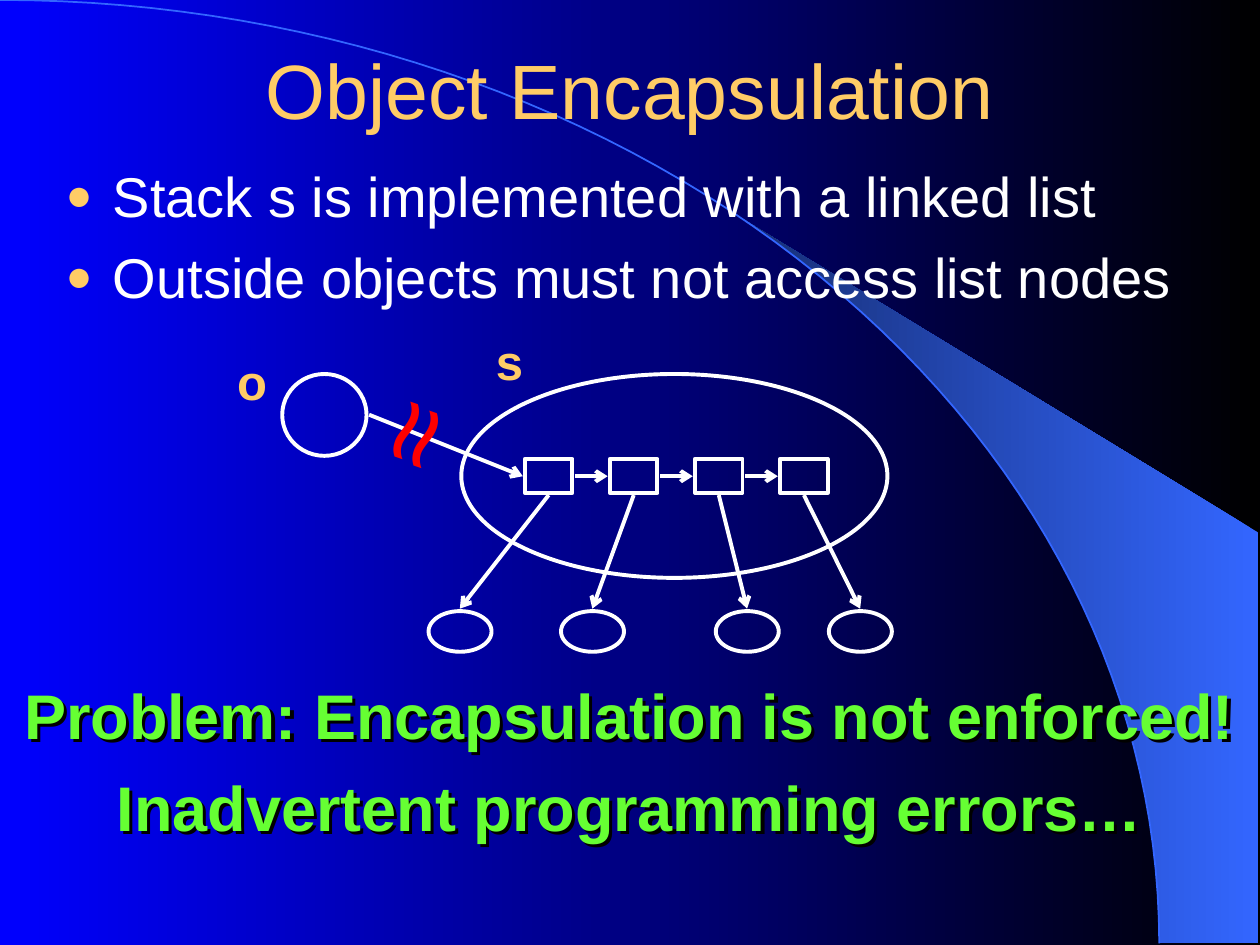
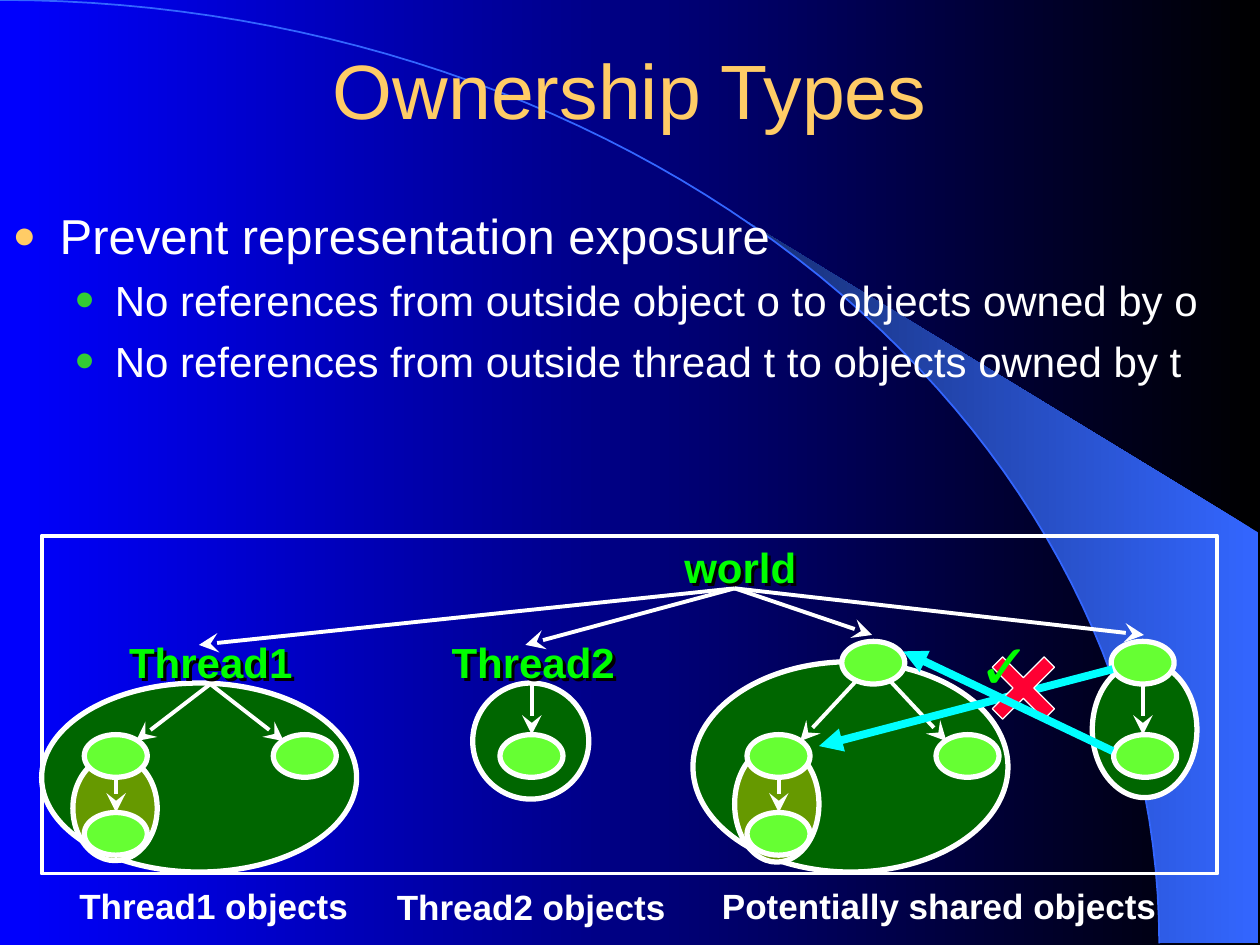
import math

import lxml.etree
import pptx
import pptx.dml.color
import pptx.enum.shapes
import pptx.enum.text
import pptx.oxml.ns
import pptx.util

Cm = pptx.util.Cm
Pt = pptx.util.Pt
RGB = pptx.dml.color.RGBColor
SHAPE = pptx.enum.shapes.MSO_SHAPE
ALIGN = pptx.enum.text.PP_ALIGN
FIT = pptx.enum.text.MSO_AUTO_SIZE
ANCHOR = pptx.enum.text.MSO_ANCHOR
qn = pptx.oxml.ns.qn

FONT = "Arial"
WHITE = RGB(0xFF, 0xFF, 0xFF)
BLACK = RGB(0x00, 0x00, 0x00)
BLUE = RGB(0x00, 0x00, 0xFF)
SWOOSH = RGB(0x33, 0x66, 0xFF)
SWOOSH_DARK = RGB(0x17, 0x2F, 0x75)
GOLD = RGB(0xFF, 0xCC, 0x66)
LIME = RGB(0x66, 0xFF, 0x33)
GREEN = RGB(0x00, 0xFF, 0x00)
BULLET_GREEN = RGB(0x33, 0xCC, 0x33)
DARK_GREEN = RGB(0x00, 0x66, 0x00)
OLIVE = RGB(0x66, 0x99, 0x00)
RED = RGB(0xFF, 0x00, 0x00)
CROSS_RED = RGB(0xFF, 0x00, 0x33)
CYAN = RGB(0x00, 0xFF, 0xFF)

# level: left margin cm, indent cm, bullet, bullet colour, bullet size %
BULLETS = [(0.95, -0.95, "●", GOLD, 80), (2.06, -0.79, "•", BULLET_GREEN, 130)]


def sub(parent, tag, **attrs):
    return lxml.etree.SubElement(parent, qn(tag), attrs)


def write(p, text, size=24, color=WHITE, bold=False, align=None,
          before=0, spacing=None):
    p.alignment = align
    p.space_before = Pt(before)
    p.line_spacing = spacing
    r = p.add_run()
    r.text = text
    r.font.size = Pt(size)
    r.font.bold = bold
    r.font.color.rgb = color
    r.font.name = FONT


def set_bullet(p, level):
    left, indent, char, color, percent = BULLETS[level]
    p.level = level
    ppr = p._p.get_or_add_pPr()
    ppr.set("marL", str(Cm(left)))
    ppr.set("indent", str(Cm(indent)))
    sub(sub(ppr, "a:buClr"), "a:srgbClr", val=str(color))
    sub(ppr, "a:buSzPct", val=str(percent * 1000))
    sub(ppr, "a:buFont", typeface=FONT)
    sub(ppr, "a:buChar", char=char)


def cast_shadow(sp):
    """Give an unfilled text box a shadow, which its letters cast."""
    outer = sub(sub(sp._element.spPr, "a:effectLst"), "a:outerShdw",
                dist=str(Pt(2.5)), dir="2700000", algn="ctr", rotWithShape="0")
    sub(outer, "a:srgbClr", val=str(BLACK))


def set_gradient(fill, start, end):
    """Run from start at the right to end at the left."""
    fill.gradient()
    fill.gradient_angle = 180
    for stop, color in zip(fill.gradient_stops, (start, end)):
        stop.color.rgb = color


def place(sp, x, y, w, h):
    sp.left, sp.top, sp.width, sp.height = Cm(x), Cm(y), Cm(w), Cm(h)


class Deck:
    def __init__(self):
        self.prs = pptx.Presentation()
        self.prs.slide_width, self.prs.slide_height = Cm(25.4), Cm(19.05)
        set_gradient(self.prs.slide_master.background.fill, BLACK, BLUE)
        self.s = None

    def slide(self, title):
        first = self.s is None
        self.s = self.prs.slides.add_slide(self.prs.slide_layouts[1])
        if first:
            self.decorate_master()
        sp = self.s.shapes.title
        place(sp, 0, 0.2, 25.4, 3.18)
        tf = sp.text_frame
        tf.auto_size = FIT.NONE
        tf.vertical_anchor = ANCHOR.MIDDLE
        write(tf.paragraphs[0], title, size=44, color=GOLD, align=ALIGN.CENTER)

    def decorate_master(self):
        """Put the quarter ellipse and the band outside it on the master."""
        def arc(start):
            angles = [start + (math.pi / 2 - start) * i / 60 for i in range(61)]
            return [(23.37 * math.sin(a), 19.02 * (1 - math.cos(a)))
                    for a in angles]

        band = self.freeform(arc(math.asin(0.64)) + [(25.37, 19.02), (25.37, 10.74)], True)
        set_gradient(band.fill, SWOOSH, SWOOSH_DARK)
        band.line.fill.background()
        edge = self.freeform(arc(0), False)
        edge.fill.background()
        edge.line.color.rgb = SWOOSH
        edge.line.width = Pt(1)
        tree = self.prs.slide_master.shapes.element
        for i, sp in enumerate((band, edge)):
            tree.insert(2 + i, sp.element)

    def freeform(self, points, close):
        points = [(Cm(x), Cm(y)) for x, y in points]
        builder = self.s.shapes.build_freeform(*points[0])
        builder.add_line_segments(points[1:], close=close)
        sp = builder.convert_to_shape()
        sp.shadow.inherit = False
        return sp

    def body(self, box, items, before):
        """Fill the list from (level, size, text) items."""
        sp = self.s.placeholders[1]
        place(sp, *box)
        tf = sp.text_frame
        tf.auto_size = FIT.NONE
        for i, (level, size, text) in enumerate(items):
            p = tf.add_paragraph() if i else tf.paragraphs[0]
            write(p, text, size=size, before=before - level)
            set_bullet(p, level)

    def text(self, box, *lines, wrap=False, rotation=0, align=ALIGN.CENTER,
             shadow=False, **style):
        sp = self.s.shapes.add_textbox(*map(Cm, box))
        sp.rotation = rotation
        tf = sp.text_frame
        tf.word_wrap = wrap
        tf.auto_size = FIT.SHAPE_TO_FIT_TEXT
        if not wrap:
            tf.margin_left = tf.margin_right = 0
        for i, line in enumerate(lines):
            p = tf.add_paragraph() if i else tf.paragraphs[0]
            write(p, line, align=align, **style)
        if shadow:
            cast_shadow(sp)

    def shape(self, kind, box, fill=None, width=2.25):
        sp = self.s.shapes.add_shape(kind, *map(Cm, box))
        sp.shadow.inherit = False
        if fill is None:
            sp.fill.background()
        else:
            sp.fill.solid()
            sp.fill.fore_color.rgb = fill
        sp.line.color.rgb = WHITE
        sp.line.width = Pt(width)
        return sp

    def arrow(self, start, end, head="arrow", head_size="med", color=WHITE, width=2.25):
        c = self.s.shapes.add_connector(
            pptx.enum.shapes.MSO_CONNECTOR.STRAIGHT, *map(Cm, start + end))
        c.line.color.rgb = color
        c.line.width = Pt(width)
        sub(c.line._get_or_add_ln(), "a:tailEnd", type=head, w=head_size, len=head_size)
        sub(c._element.spPr, "a:effectLst")


def encapsulation(d):
    d.slide("Object Encapsulation")
    d.body((1.07, 3.12, 23.93, 11.48),
           [(0, 32, "Stack s is implemented with a linked list"),
            (0, 32, "Outside objects must not access list nodes")], before=8)
    d.text((0.2, 13.69, 24.99, 3.48), "Problem: Encapsulation is not enforced!",
           "Inadvertent programming errors…", wrap=True, size=36, color=LIME,
           bold=True, before=13.5, spacing=0.9, shadow=True)

    d.shape(SHAPE.OVAL, (9.3, 7.54, 8.59, 4.11))
    d.shape(SHAPE.OVAL, (5.69, 7.54, 1.7, 1.65))
    d.text((9.75, 6.55, 1.04, 1.45), "s", size=28, color=GOLD, bold=True)
    d.text((4.52, 6.96, 1.12, 1.45), "o", size=28, color=GOLD, bold=True)
    d.arrow((7.44, 8.36), (10.54, 9.6))
    for x, y in ((7.42, 7.21), (7.8, 7.39)):
        d.text((x, y, 1.85, 3.05), "~", rotation=109, size=66, color=RED)

    for i, item_x in enumerate((8.64, 11.31, 14.43, 16.71)):
        node_x = 10.58 + 1.715 * i
        d.shape(SHAPE.RECTANGLE, (node_x, 9.25, 0.96, 0.69))
        d.shape(SHAPE.OVAL, (item_x, 12.32, 1.27, 0.82))
        d.arrow((node_x + 0.48, 9.98), (item_x + 0.63, 12.27))
        if i < 3:
            d.arrow((node_x + 1.01, 9.6), (node_x + 1.67, 9.6))


def ownership(d):
    d.slide("Ownership Types")
    d.body((0, 4.01, 25.4, 6.27),
           [(0, 28, "Prevent representation exposure"),
            (1, 24, "No references from outside object o to objects owned by o"),
            (1, 24, "No references from outside thread t to objects owned by t")],
           before=7)

    domains = [((9.53, 13.77, 2.34, 2.34), DARK_GREEN),
               ((0.84, 13.77, 6.35, 3.81), DARK_GREEN),
               ((1.47, 15.24, 1.7, 2.11), OLIVE),
               ((22.02, 13.34, 2.11, 2.74), DARK_GREEN),
               ((13.97, 13.34, 6.35, 4.24), DARK_GREEN),
               ((14.81, 15.04, 1.7, 2.34), OLIVE)]
    for box, fill in domains:
        d.shape(SHAPE.OVAL, box, fill, width=3)
    d.shape(SHAPE.RECTANGLE, (0.84, 10.8, 23.7, 6.81))

    def objects(*corners):
        for x, y in corners:
            d.shape(SHAPE.OVAL, (x, y, 1.27, 0.86), LIME, width=3)

    top, middle, bottom = 12.93, 14.81, 16.38
    objects((1.7, bottom), (5.51, middle), (10.08, middle),
            (15.06, bottom), (18.87, middle), (22.45, middle))
    owners = {(4.24, 13.79): [(2.74, 14.94), (5.72, 14.94)],
              (2.34, middle): [(2.34, bottom)],
              (10.72, 13.79): [(10.72, middle)],
              (17.6, 13.36): [(16.13, 14.94), (19.08, 14.94)],
              (15.7, middle): [(15.7, bottom)],
              (23.04, 13.36): [(23.04, middle)],
              (14.81, 11.86): [(4.01, 13), (10.59, 13), (17.58, 12.8), (23.06, 12.8)]}
    for owner, owned in owners.items():
        for end in owned:
            d.arrow(owner, end, "stealth", "lg")
    objects((1.7, middle), (15.06, middle), (16.97, top), (22.4, top))

    for x, y, w, name in ((13.54, 10.8, 2.77, "world"),
                          (2.36, 12.7, 3.78, "Thread1"),
                          (8.86, 12.7, 3.78, "Thread2")):
        d.text((x, y, w, 1.27), name, color=GREEN, bold=True, shadow=True)
    for x, y, w, caption in ((1.35, 17.7, 5.92, "Thread1 objects"),
                             (7.75, 17.73, 5.92, "Thread2 objects"),
                             (14.3, 17.7, 9.27, "Potentially shared objects")):
        d.text((x, y, w, 1.12), caption, size=20, bold=True)

    d.arrow((22.43, 13.49), (16.51, 15.04), "triangle", color=CYAN, width=4.5)
    cross = d.shape(SHAPE.CROSS, (19.89, 13.13, 1.48, 1.48), CROSS_RED, 0.75)
    cross.adjustments[0] = 0.4
    cross.rotation = 45
    d.arrow((22.43, 15.14), (18.21, 13.13), "triangle", color=CYAN, width=4.5)
    d.text((19.48, 12.5, 1.7, 1.78), "✓", wrap=True, align=ALIGN.LEFT,
           size=36, color=GREEN, before=22.5)


def main():
    d = Deck()
    encapsulation(d)
    ownership(d)
    d.prs.save("out.pptx")


if __name__ == "__main__":
    main()
